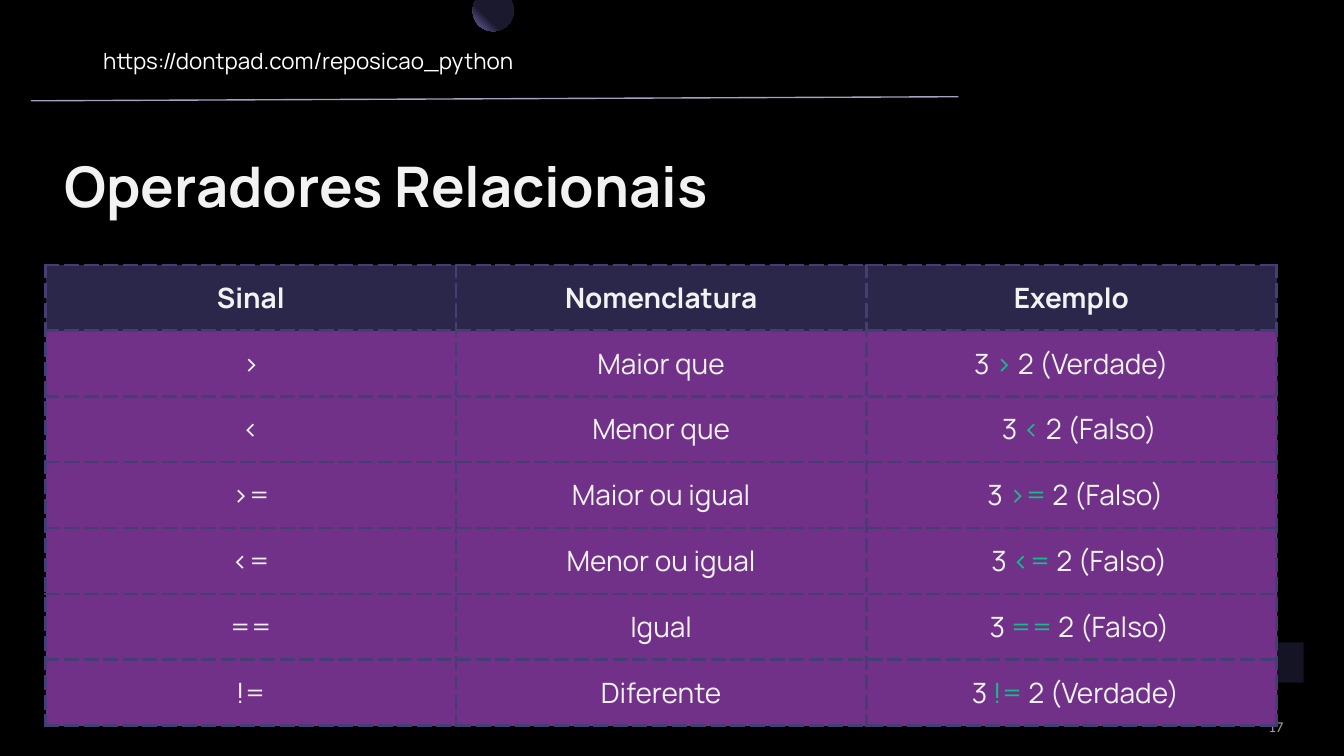
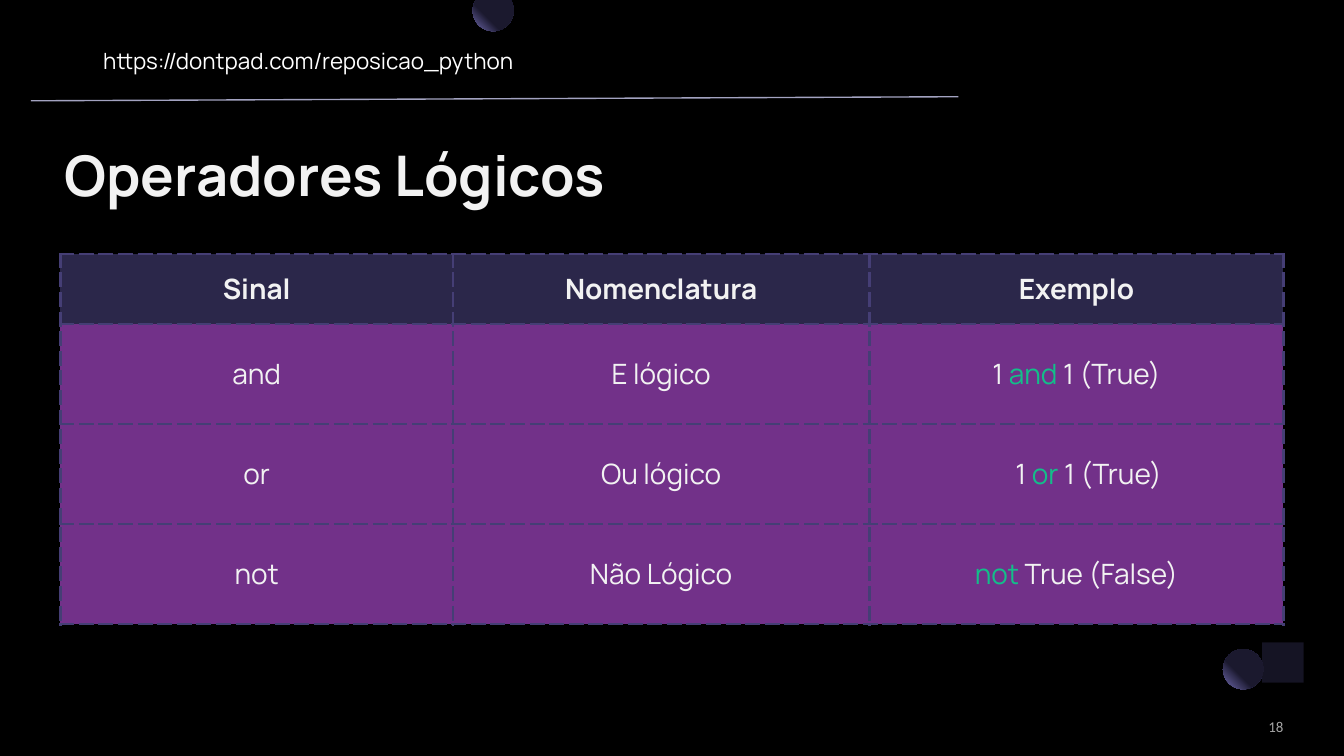
import math
import pptx
import pptx.util
import pptx.dml.color
import pptx.enum.shapes
import pptx.enum.text
import pptx.oxml
import pptx.oxml.ns

RGBColor = pptx.dml.color.RGBColor
Shape = pptx.enum.shapes.MSO_SHAPE
Align = pptx.enum.text.PP_ALIGN
Anchor = pptx.enum.text.MSO_ANCHOR
Fit = pptx.enum.text.MSO_AUTO_SIZE
Pt = pptx.util.Pt

BLACK = RGBColor(0x00, 0x00, 0x00)
WHITE = RGBColor(0xFF, 0xFF, 0xFF)
PALE = RGBColor(0xF2, 0xF2, 0xF2)
GREY = RGBColor(0xA5, 0xA5, 0xA5)
RULE = RGBColor(0xA3, 0xA3, 0xC1)
NIGHT = RGBColor(0x1B, 0x19, 0x2E)
GLOW = RGBColor(0x74, 0x6E, 0xB3)
HEAD = RGBColor(0x2B, 0x27, 0x4A)
BODY = RGBColor(0x72, 0x31, 0x89)
EDGE = RGBColor(0x45, 0x3E, 0x75)
GREEN = RGBColor(0x13, 0xBE, 0x89)

COLS, ROWS = 100, 56.25
CELL = pptx.util.Inches(0.1)
SPACE = 0.6

LINK = "https://dontpad.com/reposicao_python"
HEADS = ("Sinal", "Nomenclatura", "Exemplo")
PAGES = [
    {
        "title": "Operadores Relacionais", "top": 8.3, "page": "17",
        "at": (3.4, 19.7), "cols": [30.53] * 3, "rows": (4.9, 4.9),
        "body": [
            (">", "Maior que", ("3 ", ">", " 2 (Verdade)"), 0),
            ("<", "Menor que", ("3 ", "<", " 2 (Falso)"), 2),
            (">=", "Maior ou igual", ("3 ", ">=", " 2 (Falso)"), 1),
            ("<=", "Menor ou igual", ("3 ", "<=", " 2 (Falso)"), 2),
            ("==", "Igual", ("3 ", "==", " 2 (Falso)"), 2),
            ("!=", "Diferente", ("3 ", "!= ", "2 (Verdade)"), 1),
        ],
    },
    {
        "title": "Operadores Lógicos", "top": 7.5, "page": "18",
        "at": (4.5, 18.9), "cols": [29.2, 31, 30.8], "rows": (5.2, 7.45),
        "body": [
            ("and", "E lógico", ("1 ", "and ", "1 (True)"), 0),
            ("or", "Ou lógico", ("1 ", "or ", "1 (True)"), 3),
            ("not", "Não Lógico", ("", "not ", "True (False)"), 0),
        ],
    },
]

FONTS = {
    "title": {"name": "Manrope", "size": Pt(30), "bold": True},
    "head": {"name": "Manrope", "size": Pt(15), "bold": True},
    "body": {"name": "Manrope", "size": Pt(15), "bold": False},
    "link": {"name": "Manrope", "size": Pt(12), "bold": False},
    "page": {"name": "Calibri", "size": Pt(8), "bold": False},
}


def grid(*nums):
    return [round(n * CELL) for n in nums]


def put(item, looks):
    for name, value in looks.items():
        setattr(item, name, value)


def parse(text):
    space = pptx.oxml.ns.nsdecls("a")
    return pptx.oxml.parse_xml(text.replace(" ", f" {space} ", 1))


def write(para, parts, kind):
    for text, color in parts:
        if text:
            run = para.add_run()
            run.text = text
            put(run.font, FONTS[kind])
            run.font.color.rgb = color


def label(slide, box, parts, kind, pads, frame, para):
    text = slide.shapes.add_textbox(*grid(*box)).text_frame
    sides = ("margin_left", "margin_top", "margin_right", "margin_bottom")
    put(text, dict(zip(sides, grid(*pads))))
    put(text, {"word_wrap": True, **frame})
    put(text.paragraphs[0], para)
    write(text.paragraphs[0], parts, kind)


def glow(shape):
    shape.shadow.inherit = False
    shape.line.fill.background()
    stops = "".join(
        f'<a:gs pos="{pos}"><a:srgbClr val="{color}"/></a:gs>'
        for pos, color in ((0, NIGHT), (60000, NIGHT), (100000, GLOW)))
    fill = parse(
        f'<a:gradFill rotWithShape="1"><a:gsLst>{stops}</a:gsLst>'
        '<a:path path="circle"><a:fillToRect l="100000" b="100000"/>'
        '</a:path></a:gradFill>')
    shape.element.spPr.find(pptx.oxml.ns.qn("a:ln")).addprevious(fill)


def square(slide):
    shape = slide.shapes.add_shape(Shape.RECTANGLE, *grid(93.9, 47.8, 3.1, 3))
    shape.shadow.inherit = False
    shape.line.fill.background()
    shape.fill.solid()
    shape.fill.fore_color.rgb = NIGHT
    color = shape.element.spPr.find(".//" + pptx.oxml.ns.qn("a:srgbClr"))
    color.append(parse('<a:alpha val="80000"/>'))


def moon(slide, x=36.7, y=0.8, size=1.52, steps=40):
    start = -math.asin(y / size)
    sweep = math.pi - 2 * start
    turns = [start + sweep * i / steps for i in range(steps + 1)]
    dots = [grid(x + size * math.cos(t), max(0, y + size * math.sin(t)))
            for t in turns]
    path = slide.shapes.build_freeform(*dots[0])
    path.add_line_segments(dots[1:], close=True)
    glow(path.convert_to_shape())


def rule(slide):
    line = slide.shapes.add_connector(
        pptx.enum.shapes.MSO_CONNECTOR.STRAIGHT, *grid(2.3, 7.5, 71.3, 7.2))
    line.line.color.rgb = RULE
    line.line.width = Pt(0.75)
    line.element.spPr.append(parse("<a:effectLst />"))


def edges(cell):
    props = cell._tc.get_or_add_tcPr()
    for side in "LRTB":
        props.append(parse(
            f'<a:ln{side} w="{Pt(1.5)}"><a:solidFill>'
            f'<a:srgbClr val="{EDGE}"/></a:solidFill>'
            f'<a:prstDash val="lgDash"/></a:ln{side}>'))


def fill(cell, parts, kind, color, pad=0):
    left, side = grid(1 + pad * SPACE, 1)
    put(cell, {"margin_left": left, "margin_right": side, "margin_top": side,
               "margin_bottom": side, "vertical_anchor": Anchor.MIDDLE})
    edges(cell)
    cell.fill.solid()
    cell.fill.fore_color.rgb = color
    para = cell.text_frame.paragraphs[0]
    para.alignment = Align.CENTER
    write(para, parts, kind)


def table(slide, page):
    body, cols = page["body"], page["cols"]
    first, rest = page["rows"]
    highs = [first] + [rest] * len(body)
    box = grid(*page["at"], sum(cols), sum(highs))
    made = slide.shapes.add_table(len(highs), len(cols), *box).table
    put(made, {"first_row": False, "horz_banding": False})
    for col, wide in zip(made.columns, grid(*cols)):
        col.width = wide
    for row, high in zip(made.rows, grid(*highs)):
        row.height = high
    for c, text in enumerate(HEADS):
        fill(made.cell(0, c), [(text, PALE)], "head", HEAD)
    for r, (sign, name, case, pad) in enumerate(body, 1):
        fill(made.cell(r, 0), [(sign, PALE)], "body", BODY)
        fill(made.cell(r, 1), [(name, PALE)], "body", BODY)
        parts = zip(case, (PALE, GREEN, PALE))
        fill(made.cell(r, 2), parts, "body", BODY, pad)


def build(deck, page):
    slide = deck.slides.add_slide(deck.slide_layouts[6])
    slide.background.fill.solid()
    slide.background.fill.fore_color.rgb = BLACK
    glow(slide.shapes.add_shape(Shape.OVAL, *grid(91, 48.3, 3, 3)))
    square(slide)
    label(slide, (81.6, 53.4, 13.9, 1.3), [(page["page"], GREY)], "page",
          (0, 0, 0, 0), {"vertical_anchor": Anchor.MIDDLE},
          {"alignment": Align.RIGHT})
    moon(slide)
    label(slide, (3.8, page["top"], 93.5, 6.1), [(page["title"], PALE)],
          "title", (1, 0.5, 1, 0.5), {"auto_size": Fit.SHAPE_TO_FIT_TEXT},
          {"line_spacing": 1.5, "space_after": Pt(9)})
    table(slide, page)
    rule(slide)
    label(slide, (6.7, 2.5, 85, 4), [(LINK, WHITE)], "link",
          (1, 1, 1, 1), {"auto_size": Fit.SHAPE_TO_FIT_TEXT}, {})


def main():
    deck = pptx.Presentation()
    deck.slide_width, deck.slide_height = grid(COLS, ROWS)
    for page in PAGES:
        build(deck, page)
    deck.save("out.pptx")


if __name__ == "__main__":
    main()
